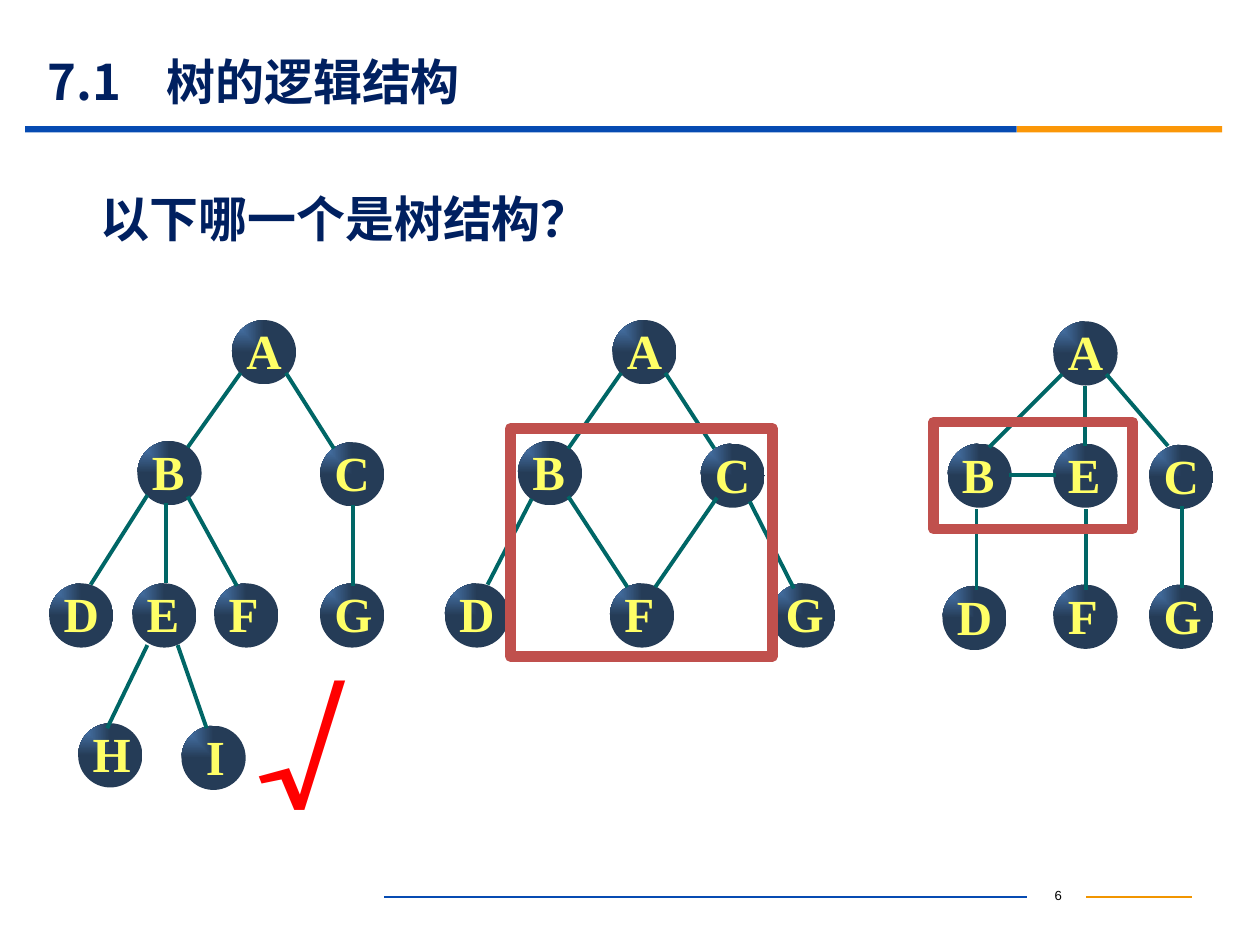
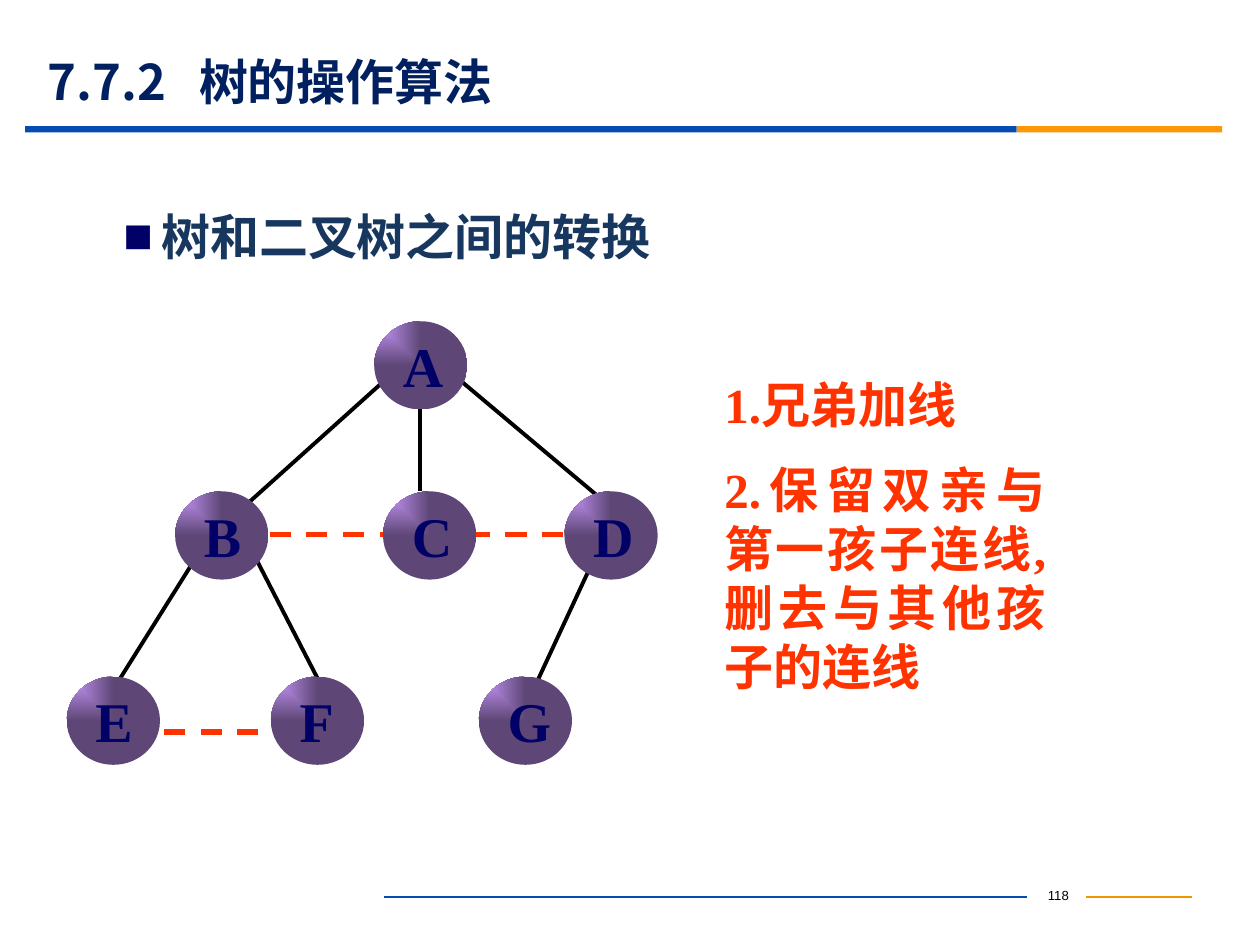
from lxml import etree
from pptx import Presentation
from pptx.dml.color import RGBColor
from pptx.enum import dml, shapes, text
from pptx.oxml import parse_xml
from pptx.oxml.ns import nsdecls, qn
from pptx.util import Inches, Pt

# Shared style
CJK, SERIF = "Noto Sans CJK SC", "Times New Roman"
NAVY, INK, BLUE, ORANGE = "002060", "000066", "064BB2", "FB9708"
RED, FRAME, EDGE, HINT = "FF0000", "C0504D", "006666", "FF3300"
BANDS = [(0.2, 7.87, BLUE), (8.07, 1.63, ORANGE)]
FOOTER_RULES = [(3.05, 8.15, BLUE), (8.62, 9.46, "F19500")]

# Node styles: width, height, gradient, text size, text colour, insets, line spacing
SMALL_NODE = dict(width=0.51, height=0.51, colours=("4F81BD", "253C57"), size=28,
                  ink="FFFF66", insets=(0.04, 0.02, 0.04, 0.04), spacing=0.8)
LARGE_NODE = dict(width=0.74, height=0.7, colours=("CC99FF", "5E4776"), size=32,
                  ink=INK, insets=(0.12, 0.04, 0.04, 0), spacing=0.9)

# Content: nodes as label: (left, top), edges as (x1, y1, x2, y2)
QUIZ = dict(title="7.1\t树的逻辑结构", tab=0.94, number="6", question="以下哪一个是树结构？")
QUIZ_TREES = [
    ({"A": (1.84, 2.54), "C": (2.54, 3.51), "B": (1.09, 3.5), "G": (2.54, 4.63),
      "F": (1.7, 4.63), "E": (1.05, 4.63), "D": (0.39, 4.63), "H": (0.62, 5.74),
      "I": (1.44, 5.76)},
     [(1.91, 2.96, 1.49, 3.55), (2.27, 2.96, 2.65, 3.56), (2.8, 4.01, 2.8, 4.65),
      (1.32, 3.99, 1.32, 4.63), (1.49, 3.94, 1.88, 4.65), (1.41, 5.12, 1.64, 5.78),
      (1.17, 3.93, 0.72, 4.64), (1.17, 5.12, 0.85, 5.78)]),
    ({"A": (4.86, 2.54), "C": (5.56, 3.52), "B": (4.11, 3.5), "G": (6.12, 4.63),
      "F": (4.84, 4.63), "D": (3.53, 4.63)},
     [(4.93, 2.96, 4.51, 3.56), (5.28, 2.96, 5.67, 3.56), (4.51, 3.94, 4.98, 4.66),
      (4.22, 3.96, 3.87, 4.64), (5.95, 3.98, 6.3, 4.67), (5.69, 3.95, 5.2, 4.66)]),
    ({"A": (8.36, 2.55), "C": (9.12, 3.53), "B": (7.52, 3.52), "G": (9.12, 4.64),
      "F": (8.36, 4.64), "D": (7.48, 4.65), "E": (8.36, 3.52)},
     [(8.43, 2.97, 7.85, 3.55), (8.78, 2.97, 9.27, 3.54), (9.38, 4.02, 9.38, 4.67),
      (8.61, 3.06, 8.61, 3.54), (8.62, 4.04, 8.62, 4.68), (7.75, 4.04, 7.75, 4.68),
      (8.38, 3.77, 8.01, 3.77)]),
]
CYCLE_FRAMES = [(4.05, 3.4, 2.08, 1.81), (7.41, 3.35, 1.58, 0.85)]

CONVERT = dict(title="7.7.2\t树的操作算法", tab=1.2, number="118", heading="树和二叉树之间的转换")
STEPS = [("1.兄弟加线", 2.92, 0.57),
         ("2.保留双亲与第一孩子连线,删去与其他孩子的连线", 3.6, 1.98)]
CONVERT_NODES = {"A": (2.97, 2.55), "B": (1.39, 3.9), "C": (3.04, 3.9), "D": (4.48, 3.9),
                 "E": (0.53, 5.37), "F": (2.15, 5.37), "G": (3.8, 5.37)}
CHILD_EDGES = [(3.03, 3.04, 1.95, 4.01), (1.54, 4.45, 0.95, 5.39), (2.04, 4.45, 2.57, 5.48),
               (3.63, 3, 4.76, 3.95), (4.69, 4.49, 4.23, 5.48), (3.33, 3.16, 3.33, 3.9)]
SIBLING_EDGES = [(2.14, 4.24, 3.05, 4.24), (3.72, 4.24, 4.55, 4.24), (1.3, 5.81, 2.39, 5.81)]


def colour(code):
    return RGBColor.from_string(code)


def write(frame, words, size, code, font=CJK, bold=True, align=text.PP_ALIGN.LEFT):
    frame.word_wrap = True
    para = frame.paragraphs[0]
    para.text = words
    para.alignment = align
    para.space_before = Pt(0)
    for span in para.runs:
        span.font.name, span.font.size, span.font.bold = font, Pt(size), bold
        span.font.color.rgb = colour(code)
        east = etree.SubElement(span.font._element, qn("a:ea"))
        east.set("typeface", CJK)
        span.font._element.find(qn("a:latin")).addnext(east)
    return para


def place(box, *area):
    box.left, box.top, box.width, box.height = map(Inches, area)


def add_text(page, area, words, size, code, anchor=text.MSO_ANCHOR.TOP, **style):
    box = page.shapes.add_textbox(*map(Inches, area))
    box.text_frame.vertical_anchor = anchor
    return write(box.text_frame, words, size, code, **style)


def add_line(parent, ends, code, width, dashed=False):
    line = parent.add_connector(shapes.MSO_CONNECTOR.STRAIGHT, *map(Inches, ends))
    line.line.color.rgb, line.line.width = colour(code), Pt(width)
    if dashed:
        line.line.dash_style = dml.MSO_LINE.DASH
    etree.SubElement(line._element.spPr, qn("a:effectLst"))


def add_rect(page, area, fill=None, outline=None):
    box = page.shapes.add_shape(shapes.MSO_SHAPE.RECTANGLE, *map(Inches, area))
    box.shadow.inherit = False
    if fill:
        box.fill.solid()
        box.fill.fore_color.rgb = colour(fill)
        box.line.fill.background()
    else:
        box.fill.background()
        box.line.color.rgb, box.line.width = colour(outline), Pt(6)


def corner_gradient(start, end):
    return parse_xml(
        f'<a:gradFill {nsdecls("a")} rotWithShape="1"><a:gsLst>'
        f'<a:gs pos="0"><a:srgbClr val="{start}"/></a:gs>'
        f'<a:gs pos="100000"><a:srgbClr val="{end}"/></a:gs></a:gsLst>'
        '<a:path path="rect"><a:fillToRect r="100000" b="100000"/></a:path></a:gradFill>')


def add_nodes(parent, nodes, style):
    for label, (left, top) in nodes.items():
        node = parent.add_shape(shapes.MSO_SHAPE.OVAL, Inches(left), Inches(top),
                                Inches(style["width"]), Inches(style["height"]))
        node.shadow.inherit = False
        node.line.fill.background()
        node._element.spPr.find(qn("a:prstGeom")).addnext(corner_gradient(*style["colours"]))
        frame = node.text_frame
        left_inset, *others = style["insets"]
        if label == "I":  # narrow letter, pushed to the middle
            left_inset = 0.12
        frame.margin_left = Inches(left_inset)
        frame.margin_top, frame.margin_right, frame.margin_bottom = map(Inches, others)
        frame.vertical_anchor = text.MSO_ANCHOR.TOP
        para = write(frame, label, style["size"], style["ink"], SERIF)
        para.line_spacing = style["spacing"]


def add_page(deck, layout, content):
    page = deck.slides.add_slide(deck.slide_layouts[layout])
    # Bands and footer
    for left, width, code in BANDS:
        add_rect(page, (left, 1, width, 0.05), fill=code)
    for start, end, code in FOOTER_RULES:
        add_line(page.shapes, (start, 7.12, end, 7.12), code, 0.75)
    add_text(page, (8.15, 6.99, 0.5, 0.25), content["number"], 7.5, "000000",
             font="Arial", bold=False, align=text.PP_ALIGN.CENTER)
    # Title, with a tab between number and name
    title = page.shapes.title
    place(title, 0.28, 0.43, 9, 0.43)
    title.text_frame.auto_size = text.MSO_AUTO_SIZE.NONE
    title.text_frame.vertical_anchor = text.MSO_ANCHOR.MIDDLE
    para = write(title.text_frame, content["title"], 28, NAVY)
    tabs = etree.SubElement(para._p.get_or_add_pPr(), qn("a:tabLst"))
    etree.SubElement(tabs, qn("a:tab"), pos=str(Inches(content["tab"])), algn="l")
    return page


def add_quiz(deck):
    page = add_page(deck, 5, QUIZ)
    for nodes, edges in QUIZ_TREES:
        tree = page.shapes.add_group_shape().shapes
        add_nodes(tree, nodes, SMALL_NODE)
        for ends in edges:
            add_line(tree, ends, EDGE, 2.25)
    add_text(page, (0.7, 1.35, 9, 0.76), QUIZ["question"], 28, NAVY, text.MSO_ANCHOR.MIDDLE)
    add_text(page, (1.95, 5.16, 1.84, 1.58), "√", 88, RED, font="Karla", bold=False)
    for area in CYCLE_FRAMES:
        add_rect(page, area, outline=FRAME)


def add_conversion(deck):
    page = add_page(deck, 1, CONVERT)
    # Bulleted heading
    body = page.placeholders[1]
    place(body, 0.88, 1.59, 8.5, 4.5)
    body.text_frame.auto_size = text.MSO_AUTO_SIZE.NONE
    para = write(body.text_frame, CONVERT["heading"], 28, "17375E", SERIF)
    props = para._p.get_or_add_pPr()
    props.set("marL", str(Inches(0.3)))
    props.set("indent", str(-Inches(0.3)))
    bullet_colour = etree.SubElement(props, qn("a:buClr"))
    etree.SubElement(bullet_colour, qn("a:srgbClr"), val=INK)
    etree.SubElement(props, qn("a:buFont"), typeface="Arial")
    etree.SubElement(props, qn("a:buChar"), char="■")
    # Tree with sibling links
    for ends in SIBLING_EDGES:
        add_line(page.shapes, ends, HINT, 3, dashed=True)
    for ends in CHILD_EDGES:
        add_line(page.shapes, ends, "000000", 2.25)
    add_nodes(page.shapes, CONVERT_NODES, LARGE_NODE)
    # Steps
    for words, top, height in STEPS:
        add_text(page, (5.65, top, 2.75, height), words, 28, HINT, font=SERIF,
                 align=text.PP_ALIGN.JUSTIFY)


def main():
    deck = Presentation()
    deck.slide_width, deck.slide_height = Inches(10), Inches(7.5)
    add_quiz(deck)
    add_conversion(deck)
    deck.save("out.pptx")


if __name__ == "__main__":
    main()
